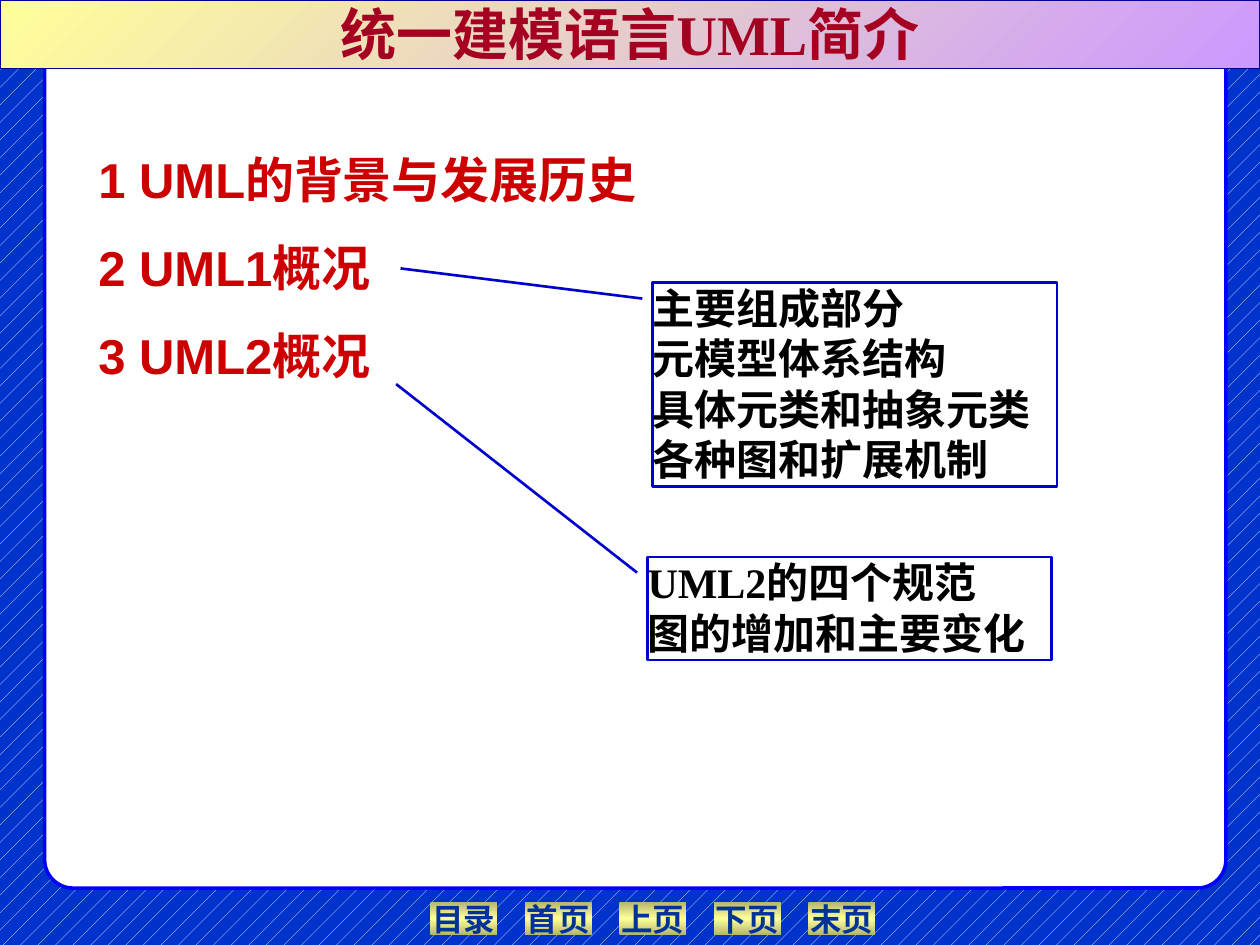
from copy import deepcopy

from pptx import Presentation
from pptx import util as u
from pptx.dml.color import RGBColor
from pptx.enum import dml, shapes, text

WHITE = RGBColor(0xFF, 0xFF, 0xFF)
BLACK = RGBColor(0x00, 0x00, 0x00)
BACKDROP = RGBColor(0x00, 0x33, 0xCC)
PANEL_EDGE = RGBColor(0x00, 0x00, 0xFF)
CREAM = RGBColor(0xFF, 0xFF, 0x99)
OLIVE = RGBColor(0xB6, 0xB6, 0x6D)
LILAC = RGBColor(0xCC, 0x99, 0xFF)
TITLE_EDGE = RGBColor(0x00, 0x00, 0x99)
TITLE_RED = RGBColor(0xA5, 0x00, 0x21)
TOPIC_RED = RGBColor(0xCC, 0x00, 0x00)
CALLOUT_BLUE = RGBColor(0x00, 0x00, 0xCC)
BUTTON_BLUE = RGBColor(0x00, 0x33, 0x99)
SERIF, SANS, CJK = "Times New Roman", "Arial", "Noto Sans CJK SC"


def add_box(page, kind, place, edge=None, width=0):
    """Add a preset shape without shadow, with an optional outline."""
    box = page.shapes.add_shape(kind, *map(u.Pt, place))
    box.shadow.inherit = False
    if edge is None:
        box.line.fill.background()
    else:
        box.line.color.rgb = edge
        box.line.width = u.Pt(width)
    return box


def fill_gradient(box, colors, angle):
    """Fill a box with evenly spaced gradient stops."""
    box.fill.gradient()
    box.fill.gradient_angle = angle
    stops = box.fill.gradient_stops
    stop_list = box.element.spPr.find(".//{*}gsLst")
    for _ in range(len(colors) - len(stops)):
        stop_list.append(deepcopy(stop_list[-1]))
    for index, (stop, color) in enumerate(zip(box.fill.gradient_stops, colors)):
        stop.color.rgb = color
        stop.position = index / (len(colors) - 1)


def style(para, size, color, name=None, align=text.PP_ALIGN.LEFT):
    """Set bold type and alignment on a paragraph."""
    para.alignment = align
    para.font.size = u.Pt(size)
    para.font.bold = True
    para.font.color.rgb = color
    if name:
        para.font.name = name


def tight_frame(box):
    """Return a wrapping top-anchored text frame without insets."""
    frame = box.text_frame
    frame.margin_left = frame.margin_right = 0
    frame.margin_top = frame.margin_bottom = 0
    frame.vertical_anchor = text.MSO_ANCHOR.TOP
    frame.word_wrap = True
    frame.auto_size = text.MSO_AUTO_SIZE.SHAPE_TO_FIT_TEXT
    return frame


def write_lines(frame, lines, size, color, name, gap=0):
    """Write one paragraph per line, with a gap between them."""
    frame.text = "\n".join(lines)
    for index, para in enumerate(frame.paragraphs):
        style(para, size, color, name)
        if index and gap:
            para.space_before = u.Pt(gap)


def add_button(page, left, label):
    """Add a navigation button."""
    button = add_box(page, shapes.MSO_SHAPE.ACTION_BUTTON_CUSTOM, (left, 515.5, 38.2, 18.7))
    fill_gradient(button, (OLIVE, CREAM, OLIVE), 90)
    frame = button.text_frame
    frame.word_wrap = False
    frame.vertical_anchor = text.MSO_ANCHOR.MIDDLE
    frame.text = label
    style(frame.paragraphs[0], 18, BUTTON_BLUE, SERIF, text.PP_ALIGN.CENTER)


def add_title(page, parts):
    """Add the title bar with a font for each part."""
    bar = add_box(page, shapes.MSO_SHAPE.RECTANGLE, (0, 0, 720, 39), TITLE_EDGE, 0.75)
    fill_gradient(bar, (CREAM, LILAC), 315)
    para = tight_frame(bar).paragraphs[0]
    style(para, 32, TITLE_RED, align=text.PP_ALIGN.CENTER)
    for words, name in parts:
        span = para.add_run()
        span.text = words
        span.font.name = name


def add_callout(page, place, adjustments, lines):
    """Add a bordered callout whose leader points at a topic."""
    callout = add_box(page, shapes.MSO_SHAPE.LINE_CALLOUT_1, place, CALLOUT_BLUE, 1.5)
    callout.fill.background()
    for index, value in enumerate(adjustments):
        callout.adjustments[index] = value
    write_lines(tight_frame(callout), lines, 24, BLACK, SERIF)


def main():
    """Build the slide and save it."""
    deck = Presentation()
    deck.slide_width, deck.slide_height = u.Pt(720), u.Pt(540)
    page = deck.slides.add_slide(deck.slide_layouts[6])
    backdrop = page.background.fill
    backdrop.patterned()
    backdrop.pattern = dml.MSO_PATTERN.PERCENT_5
    backdrop.fore_color.rgb = WHITE
    backdrop.back_color.rgb = BACKDROP

    for index, label in enumerate(("目录", "首页", "上页", "下页", "末页")):
        add_button(page, 246 + 54 * index, label)

    panel = add_box(page, shapes.MSO_SHAPE.ROUNDED_RECTANGLE,
                    (25.5, 15, 675, 492.5), PANEL_EDGE, 2)
    panel.adjustments[0] = 0.033
    panel.fill.solid()
    panel.fill.fore_color.rgb = WHITE

    add_title(page, (("统一建模语言", CJK), ("UML", SERIF), ("简介", CJK)))
    topics = page.shapes.add_textbox(*map(u.Pt, (56.2, 85.7, 363.6, 135.4)))
    write_lines(tight_frame(topics), ("1 UML的背景与发展历史", "2 UML1概况", "3 UML2概况"),
                28, TOPIC_RED, SANS, gap=16.5)
    add_callout(page, (373, 161.3, 231, 116.6), (0.08, -0.026, -0.068, -0.624),
                ("主要组成部分", "元模型体系结构", "具体元类和抽象元类", "各种图和扩展机制"))
    add_callout(page, (370, 318.2, 231, 59), (0.153, -0.026, -1.674, -0.622),
                ("UML2的四个规范", "图的增加和主要变化"))
    deck.save("out.pptx")


if __name__ == "__main__":
    main()
